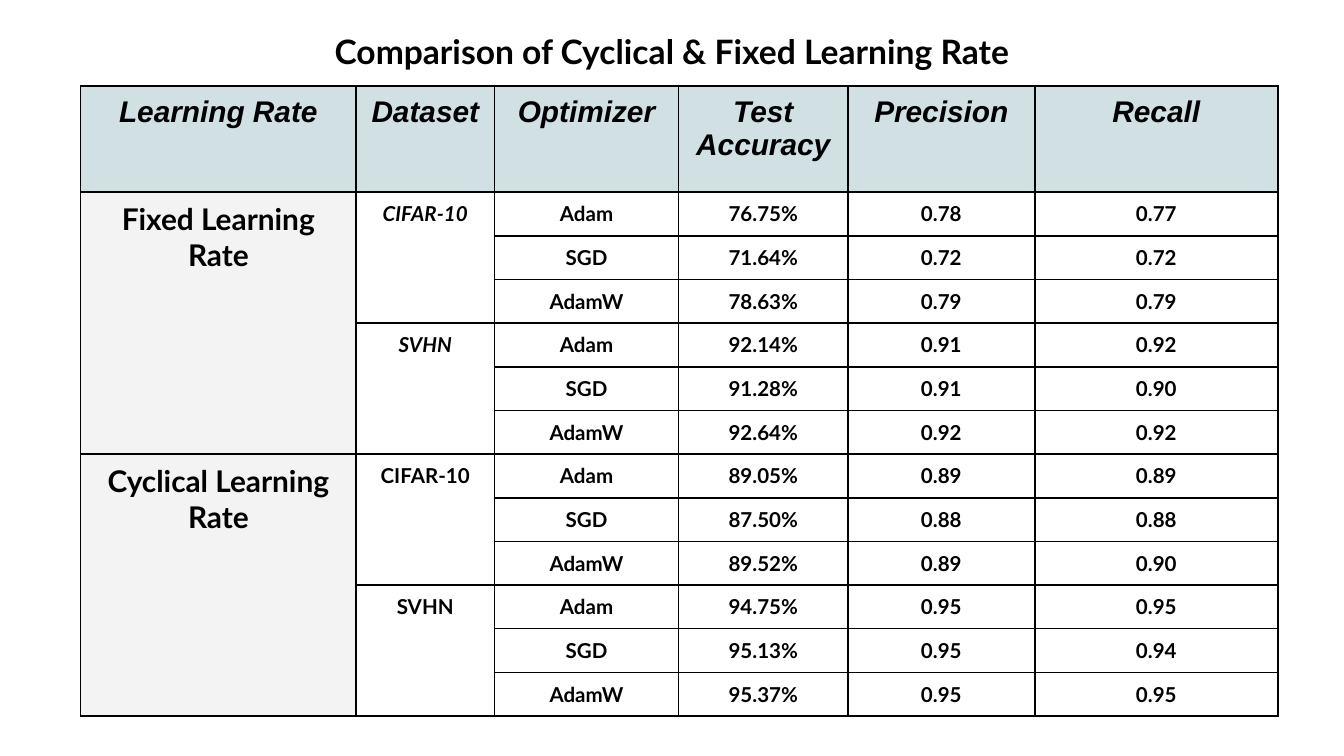
import lxml.etree
import pptx
import pptx.dml.color
import pptx.enum.text
import pptx.oxml.ns
import pptx.util

Inches = pptx.util.Inches
Pt = pptx.util.Pt
RGBColor = pptx.dml.color.RGBColor

BLACK = RGBColor(0x00, 0x00, 0x00)
HEADER_BLUE = RGBColor(0xD0, 0xE0, 0xE3)
GROUP_GRAY = RGBColor(0xF3, 0xF3, 0xF3)

HEADERS = ["Learning Rate", "Dataset", "Optimizer", "Test Accuracy", "Precision", "Recall"]
COLUMN_WIDTHS = [2.05, 1.03, 1.37, 1.26, 1.39, 1.81]
HEADER_HEIGHT = 0.79
ROW_HEIGHT = 0.32
CELL_MARGIN = 0.07
OPTIMIZERS = ["Adam", "SGD", "AdamW"]

# Learning rate, italic dataset names, then (accuracy, precision, recall) per optimizer
RESULTS = [
    ("Fixed Learning Rate", True, [
        ("CIFAR-10", [("76.75%", "0.78", "0.77"), ("71.64%", "0.72", "0.72"),
                      ("78.63%", "0.79", "0.79")]),
        ("SVHN", [("92.14%", "0.91", "0.92"), ("91.28%", "0.91", "0.90"),
                  ("92.64%", "0.92", "0.92")]),
    ]),
    ("Cyclical Learning Rate", False, [
        ("CIFAR-10", [("89.05%", "0.89", "0.89"), ("87.50%", "0.88", "0.88"),
                      ("89.52%", "0.89", "0.90")]),
        ("SVHN", [("94.75%", "0.95", "0.95"), ("95.13%", "0.95", "0.94"),
                  ("95.37%", "0.95", "0.95")]),
    ]),
]


def style_paragraph(para, size, font="Lato", italic=False):
    para.alignment = pptx.enum.text.PP_ALIGN.CENTER
    para.font.name = font
    para.font.size = Pt(size)
    para.font.bold = True
    para.font.italic = italic
    para.font.color.rgb = BLACK


def add_borders(cell):
    properties = cell._tc.get_or_add_tcPr()
    for side in ("a:lnL", "a:lnR", "a:lnT", "a:lnB"):
        line = lxml.etree.SubElement(properties, pptx.oxml.ns.qn(side), w=str(Pt(1)))
        fill = lxml.etree.SubElement(line, pptx.oxml.ns.qn("a:solidFill"))
        lxml.etree.SubElement(fill, pptx.oxml.ns.qn("a:srgbClr"), val=str(BLACK))


def fill_cell(cell, text, size=11, font="Lato", italic=False, color=None):
    cell.text = text
    style_paragraph(cell.text_frame.paragraphs[0], size, font, italic)
    if color is not None:
        cell.fill.solid()
        cell.fill.fore_color.rgb = color


def add_title(slide, left, top, width, height):
    box = slide.shapes.add_textbox(Inches(left), Inches(top), Inches(width), Inches(height))
    frame = box.text_frame
    frame.word_wrap = True
    frame.margin_left = frame.margin_right = Inches(0.1)
    frame.margin_top = frame.margin_bottom = Inches(0.1)
    frame.text = "Comparison of Cyclical & Fixed Learning Rate"
    style_paragraph(frame.paragraphs[0], 18)


def add_results_table(slide, left, top):
    row_count = 1 + sum(len(rows) for _, _, datasets in RESULTS for _, rows in datasets)
    height = HEADER_HEIGHT + ROW_HEIGHT * (row_count - 1)
    table = slide.shapes.add_table(
        row_count, len(HEADERS), Inches(left), Inches(top),
        Inches(sum(COLUMN_WIDTHS)), Inches(height)).table
    table.first_row = False
    table.horz_banding = False

    # Grid
    for column, width in zip(table.columns, COLUMN_WIDTHS):
        column.width = Inches(width)
    for index, row in enumerate(table.rows):
        row.height = Inches(ROW_HEIGHT if index else HEADER_HEIGHT)
    for cell in table.iter_cells():
        cell.margin_left = cell.margin_right = Inches(CELL_MARGIN)
        cell.margin_top = cell.margin_bottom = Inches(CELL_MARGIN)
        add_borders(cell)
        cell.fill.background()
        style_paragraph(cell.text_frame.paragraphs[0], 11)

    # Header row
    for index, header in enumerate(HEADERS):
        fill_cell(table.cell(0, index), header, 16, "Arial", True, HEADER_BLUE)

    # Groups by learning rate and dataset
    row_index = 1
    for rate, italic, datasets in RESULTS:
        rate_start = row_index
        for dataset, rows in datasets:
            dataset_start = row_index
            for optimizer, values in zip(OPTIMIZERS, rows):
                for column_index, text in enumerate((optimizer, *values), start=2):
                    fill_cell(table.cell(row_index, column_index), text)
                row_index += 1
            dataset_cell = table.cell(dataset_start, 1)
            dataset_cell.merge(table.cell(row_index - 1, 1))
            fill_cell(dataset_cell, dataset, italic=italic)
        rate_cell = table.cell(rate_start, 0)
        rate_cell.merge(table.cell(row_index - 1, 0))
        fill_cell(rate_cell, rate, 16, color=GROUP_GRAY)


def main():
    deck = pptx.Presentation()
    # Widescreen 16:9
    deck.slide_width = Inches(10)
    deck.slide_height = deck.slide_width * 9 // 16
    page = deck.slides.add_slide(deck.slide_layouts[6])
    add_results_table(page, 0.6, 0.64)
    add_title(page, 2.06, 0.13, 5.88, 0.5)
    deck.save("out.pptx")


if __name__ == "__main__":
    main()
